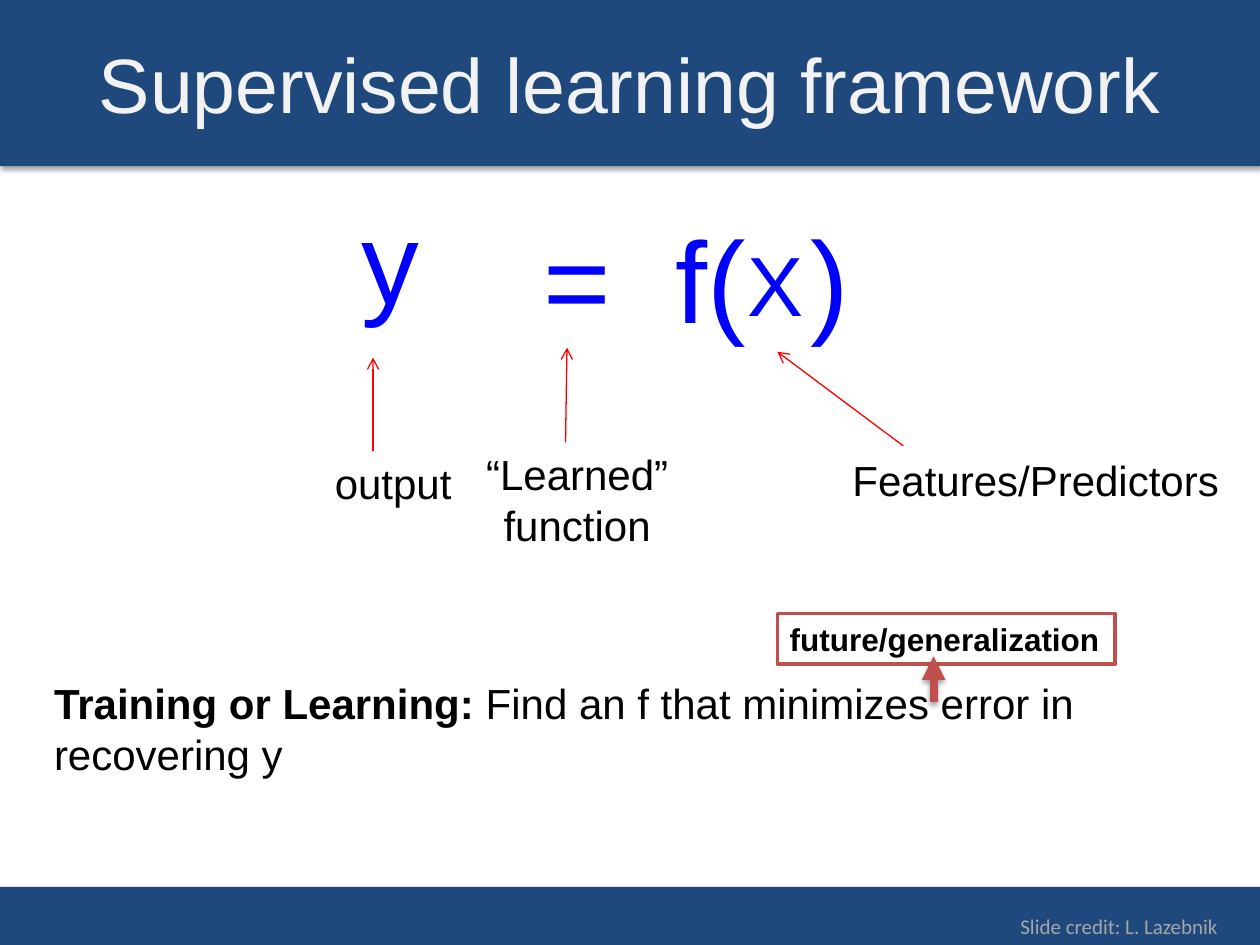
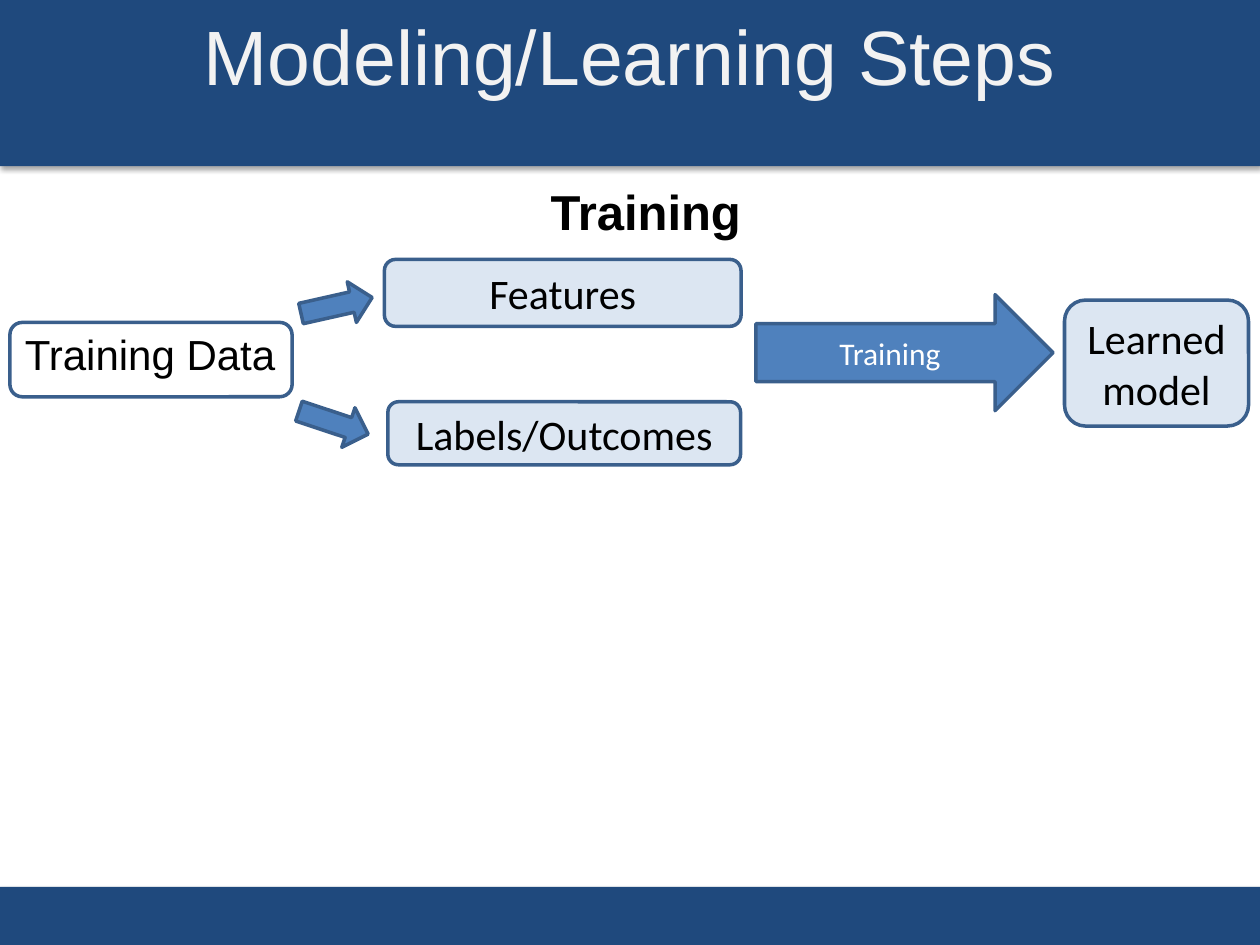
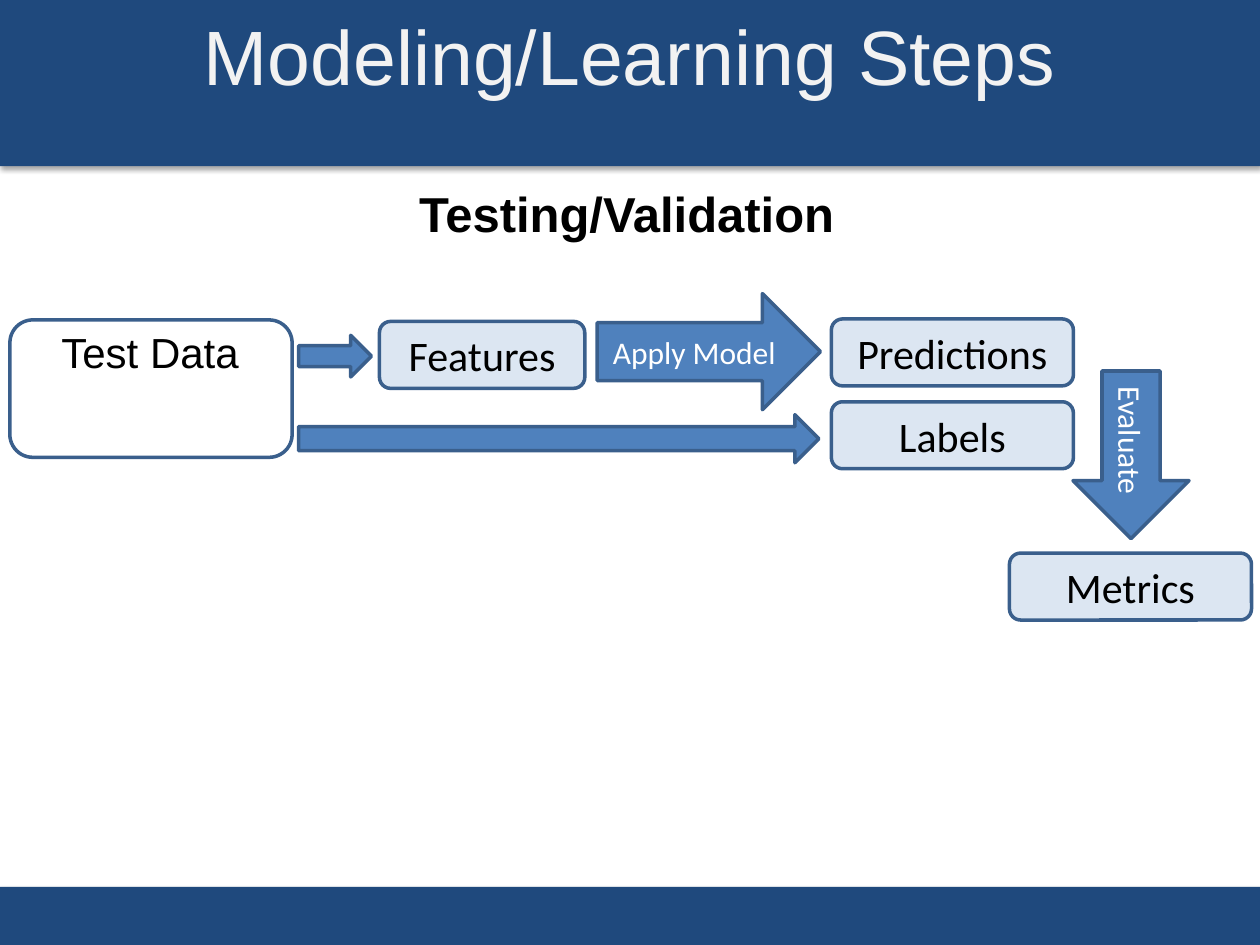
"""Build three slides on the supervised learning framework and its steps."""
from dataclasses import dataclass
from typing import NamedTuple

from lxml import etree
from pptx import Presentation
from pptx.dml.color import RGBColor
from pptx.enum import shapes, text
from pptx.oxml import ns
from pptx.util import Cm, Pt

NAVY = RGBColor(0x1F, 0x49, 0x7D)
BLUE = RGBColor(0x4F, 0x81, 0xBD)
EDGE = RGBColor(0x3A, 0x5F, 0x8C)
PALE = RGBColor(0xDC, 0xE6, 0xF2)
FORMULA = RGBColor(0x00, 0x00, 0xFF)
RED = RGBColor(0xFF, 0x00, 0x00)
BRICK = RGBColor(0xC0, 0x50, 0x4D)
BLACK = RGBColor(0x00, 0x00, 0x00)
WHITE = RGBColor(0xFF, 0xFF, 0xFF)
OFF_WHITE = RGBColor(0xF2, 0xF2, 0xF2)
GREY = RGBColor(0xA6, 0xA6, 0xA6)

ROUNDED = shapes.MSO_SHAPE.ROUNDED_RECTANGLE
ARROW = shapes.MSO_SHAPE.RIGHT_ARROW
MIDDLE = text.MSO_ANCHOR.MIDDLE
TOP = text.MSO_ANCHOR.TOP
LEFT = text.PP_ALIGN.LEFT
CENTER = text.PP_ALIGN.CENTER


class Area(NamedTuple):
    """Left, top, width and height in centimetres."""
    left: float
    top: float
    width: float
    height: float

    def lengths(self) -> list:
        """Return the four values as lengths."""
        return [Cm(value) for value in self]


class Span(NamedTuple):
    """A piece of text in one weight."""
    words: str
    bold: bool = False


@dataclass
class Style:
    """Look of the text in a box."""
    size: float = 24
    font: str = "Arial"
    color: RGBColor = BLACK
    align: text.PP_ALIGN = CENTER
    anchor: text.MSO_ANCHOR = TOP
    wrap: bool = True


@dataclass
class Label:
    """Free text, one tuple of spans per paragraph."""
    area: Area
    paragraphs: list
    style: Style


@dataclass
class Block:
    """A step or arrow of a flow diagram."""
    area: Area
    words: str = ""
    kind: shapes.MSO_SHAPE = ROUNDED
    rotation: float = 0


class Pointer(NamedTuple):
    """An arrow from a start to an end in centimetres."""
    start: tuple
    end: tuple
    color: RGBColor = RED
    width: float = 0.75
    head: str = "arrow"


TITLE = Style(44, color=OFF_WHITE, anchor=MIDDLE)
SYMBOL = Style(66, color=FORMULA)
NOTE = Style()
FREE_NOTE = Style(align=LEFT, wrap=False)
HEADING = Style(28, align=LEFT, wrap=False)
STEP = Style(font="Calibri", anchor=MIDDLE)
ACTION = Style(18, "Calibri", WHITE, anchor=MIDDLE)

BANDS = [Area(0, 17.88, 25.4, 1.17), Area(0, 0, 25.4, 3.35)]
STEPS_TITLE_AREA = Area(1.27, 0, 22.86, 2.21)
SMALL_ARROW = (1.47, 0.84)
RESULT = (4.88, 1.35)


def add_effects(shape, alpha: int = 0, blur: float = 0, distance: float = 0) -> None:
    """Replace the theme shadow with a downward one, or with none."""
    properties = shape._element.spPr
    effects = properties.find(ns.qn("a:effectLst"))
    if effects is None:
        effects = etree.SubElement(properties, ns.qn("a:effectLst"))
    if alpha:
        shadow = etree.SubElement(
            effects, ns.qn("a:outerShdw"), blurRad=str(Pt(blur)), dist=str(Pt(distance)),
            dir="5400000", rotWithShape="0")
        color = etree.SubElement(shadow, ns.qn("a:srgbClr"), val="000000")
        etree.SubElement(color, ns.qn("a:alpha"), val=str(alpha * 1000))


def write(frame, paragraphs: list, style: Style) -> None:
    """Fill a text frame run by run."""
    frame.word_wrap = style.wrap
    frame.vertical_anchor = style.anchor
    if not style.wrap:
        frame.auto_size = text.MSO_AUTO_SIZE.SHAPE_TO_FIT_TEXT
    for index, spans in enumerate(paragraphs):
        para = frame.add_paragraph() if index else frame.paragraphs[0]
        para.alignment = style.align
        for span in spans:
            run = para.add_run()
            run.text = span.words
            run.font.size = Pt(style.size)
            run.font.name = style.font
            run.font.bold = span.bold
            run.font.color.rgb = style.color


def add_label(page, label: Label):
    """Draw free text."""
    box = page.shapes.add_textbox(*label.area.lengths())
    write(box.text_frame, label.paragraphs, label.style)
    return box


def add_block(page, block: Block) -> None:
    """Draw a step, an arrow, or an empty outline."""
    shape = page.shapes.add_shape(block.kind, *block.area.lengths())
    shape.shadow.inherit = False
    shape.rotation = block.rotation
    is_arrow = block.kind == ARROW
    if is_arrow or block.words:
        shape.fill.solid()
        shape.fill.fore_color.rgb = BLUE if is_arrow else PALE
    else:
        shape.fill.background()
    shape.line.color.rgb = EDGE
    shape.line.width = Pt(2)
    if block.words:
        write(shape.text_frame, [(Span(block.words),)], ACTION if is_arrow else STEP)


def add_pointer(page, pointer: Pointer):
    """Draw a straight arrow."""
    line = page.shapes.add_connector(
        shapes.MSO_CONNECTOR.STRAIGHT,
        *[Cm(value) for value in pointer.start + pointer.end])
    line.line.color.rgb = pointer.color
    line.line.width = Pt(pointer.width)
    etree.SubElement(line.line._get_or_add_ln(), ns.qn("a:tailEnd"), type=pointer.head)
    return line


def add_page(deck, title: str, area: Area):
    """Add a slide with both bands and its title."""
    page = deck.slides.add_slide(deck.slide_layouts[6])
    for band in BANDS:
        shape = page.shapes.add_shape(shapes.MSO_SHAPE.RECTANGLE, *band.lengths())
        shape.shadow.inherit = False
        shape.fill.solid()
        shape.fill.fore_color.rgb = NAVY
        shape.line.fill.background()
        add_effects(shape, 35, 3.1, 1.8)
    add_label(page, Label(area, [(Span(title),)], TITLE))
    return page


def add_formula(page) -> None:
    """Write the equation, with tab stops leaving room for its variables."""
    box = add_label(page, Label(
        Area(9.14, 4.06, 9.14, 3.07), [(Span("=\tf(\t)"),)],
        Style(66, color=FORMULA, align=LEFT)))
    box.text_frame.margin_left = Cm(1.82)
    properties = box.text_frame.paragraphs[0]._p.get_or_add_pPr()
    stops = etree.SubElement(properties, ns.qn("a:tabLst"))
    for position in (2.65, 5.37):
        etree.SubElement(stops, ns.qn("a:tab"), pos=str(Cm(position)), algn="l")


def build_framework(deck) -> None:
    """Explain the parts of the learned function."""
    page = add_page(deck, "Supervised learning framework", Area(0, 0.08, 25.4, 3.18))
    add_formula(page)
    labels = [
        Label(Area(0.84, 13.54, 23.93, 2.67),
              [(Span("Training or Learning: ", True),
                Span("Find an f that minimizes error in recovering y"))],
              Style(align=LEFT)),
        Label(Area(6.5, 9.09, 2.9, 1.27), [(Span("output"),)], FREE_NOTE),
        Label(Area(8.46, 8.92, 6.35, 2.31),
              [(Span("“Learned”"),), (Span("function"),)], NOTE),
        Label(Area(16.69, 9.04, 8.38, 1.27), [(Span("Features/Predictors"),)], NOTE),
        Label(Area(20.32, 18.29, 5.03, 0.76), [(Span("Slide credit: L. Lazebnik"),)],
              Style(12, "Calibri", GREY, LEFT, wrap=False)),
        Label(Area(7.04, 3.68, 1.45, 3.07), [(Span("y"),)], SYMBOL),
        Label(Area(14.81, 4.57, 1.65, 2.31), [(Span("X"),)],
              Style(48, color=FORMULA, wrap=False)),
    ]
    for label in labels:
        add_label(page, label)
    for pointer in (Pointer((7.52, 9.09), (7.52, 7.21)),
                    Pointer((11.4, 8.92), (11.43, 7.01)),
                    Pointer((18.21, 8.99), (15.67, 7.09))):
        add_effects(add_pointer(page, pointer))

    goal = add_label(page, Label(
        Area(15.67, 12.37, 6.81, 1.02), [(Span("future/generalization", True),)],
        Style(18, align=LEFT, wrap=False)))
    goal.fill.solid()
    goal.fill.fore_color.rgb = WHITE
    goal.line.color.rgb = BRICK
    goal.line.width = Pt(2)
    goal_pointer = add_pointer(
        page, Pointer((18.82, 14.15), (18.82, 13.23), BRICK, 4.5, "triangle"))
    add_effects(goal_pointer, 38, 3.1, 1.6)


def build_steps(deck, heading: Label, data: Label, blocks: list) -> None:
    """Draw one flow of the modeling steps."""
    page = add_page(deck, "Modeling/Learning Steps", STEPS_TITLE_AREA)
    add_label(page, heading)
    add_label(page, data)
    for block in blocks:
        add_block(page, block)


def main() -> None:
    """Build and save the deck."""
    deck = Presentation()
    deck.slide_width, deck.slide_height = Cm(25.4), Cm(19.05)
    build_framework(deck)
    build_steps(
        deck,
        Label(Area(10.85, 3.53, 4.39, 1.45), [(Span("Training", True),)], HEADING),
        Label(Area(0.13, 6.5, 5.79, 1.27), [(Span("Training Data"),)], NOTE),
        [
            Block(Area(7.82, 8.1, 7.11, 1.27), "Labels/Outcomes"),
            Block(Area(7.75, 5.23, 7.19, 1.35), "Features"),
            Block(Area(0.2, 6.5, 5.69, 1.5)),
            Block(Area(5.99, 8.1, *SMALL_ARROW), kind=ARROW, rotation=18.4),
            Block(Area(15.24, 5.94, 5.99, 2.34), "Training", ARROW),
            Block(Area(21.46, 6.05, 3.71, 2.54), "Learned model"),
            Block(Area(6.05, 5.74, *SMALL_ARROW), kind=ARROW, rotation=347.3),
        ])
    build_steps(
        deck,
        Label(Area(8.2, 3.58, 8.99, 1.45), [(Span("Testing/Validation", True),)], HEADING),
        Label(Area(0.13, 6.45, 5.79, 1.27), [(Span("Test Data"),)], NOTE),
        [
            Block(Area(16.76, 6.43, *RESULT), "Predictions"),
            Block(Area(0.2, 6.45, 5.69, 2.77)),
            Block(Area(7.65, 6.48, 4.14, 1.35), "Features"),
            Block(Area(12.04, 5.92, 4.5, 2.34), "Apply Model", ARROW),
            Block(Area(6.02, 6.76, *SMALL_ARROW), kind=ARROW),
            Block(Area(6.02, 8.36, 10.49, 0.97), kind=ARROW),
            Block(Area(16.76, 8.1, *RESULT), "Labels"),
            Block(Area(21.11, 8, 3.38, 2.34), "Evaluate", ARROW, 90),
            Block(Area(20.35, 11.15, *RESULT), "Metrics"),
        ])
    deck.save("out.pptx")


if __name__ == "__main__":
    main()
